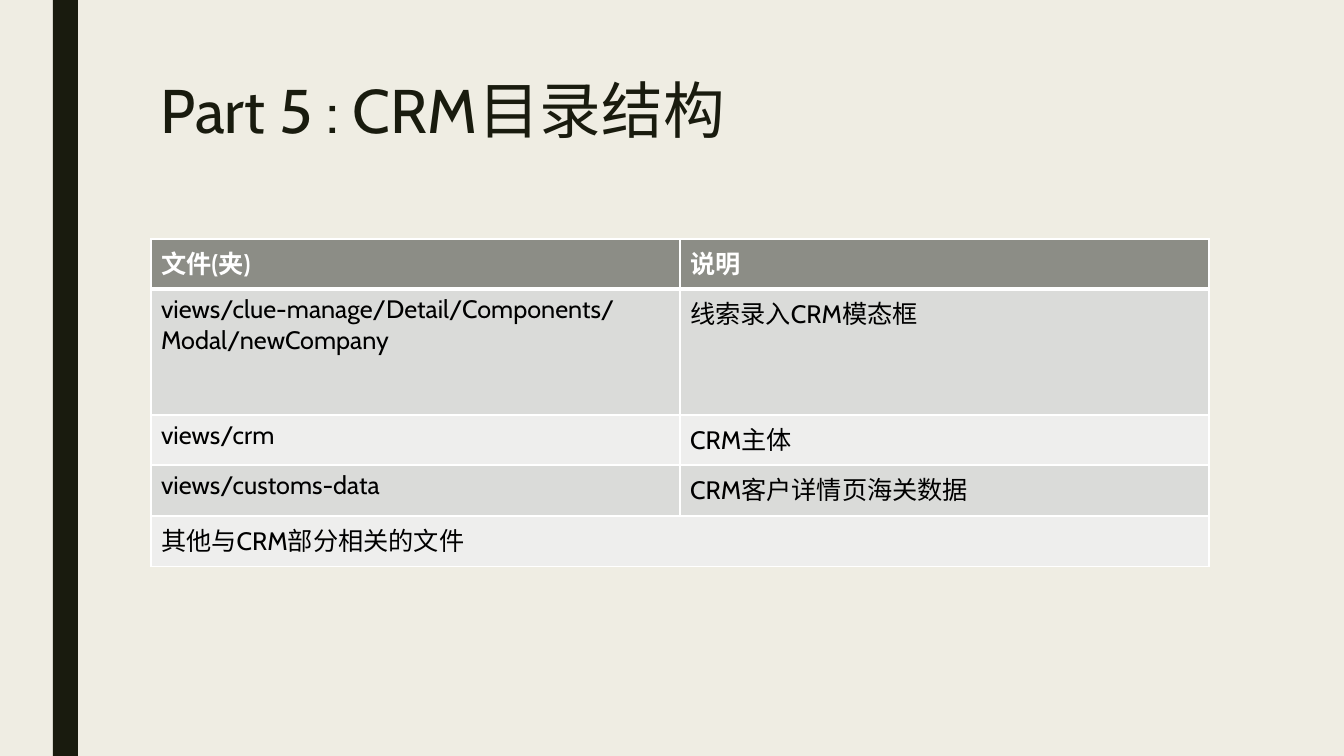
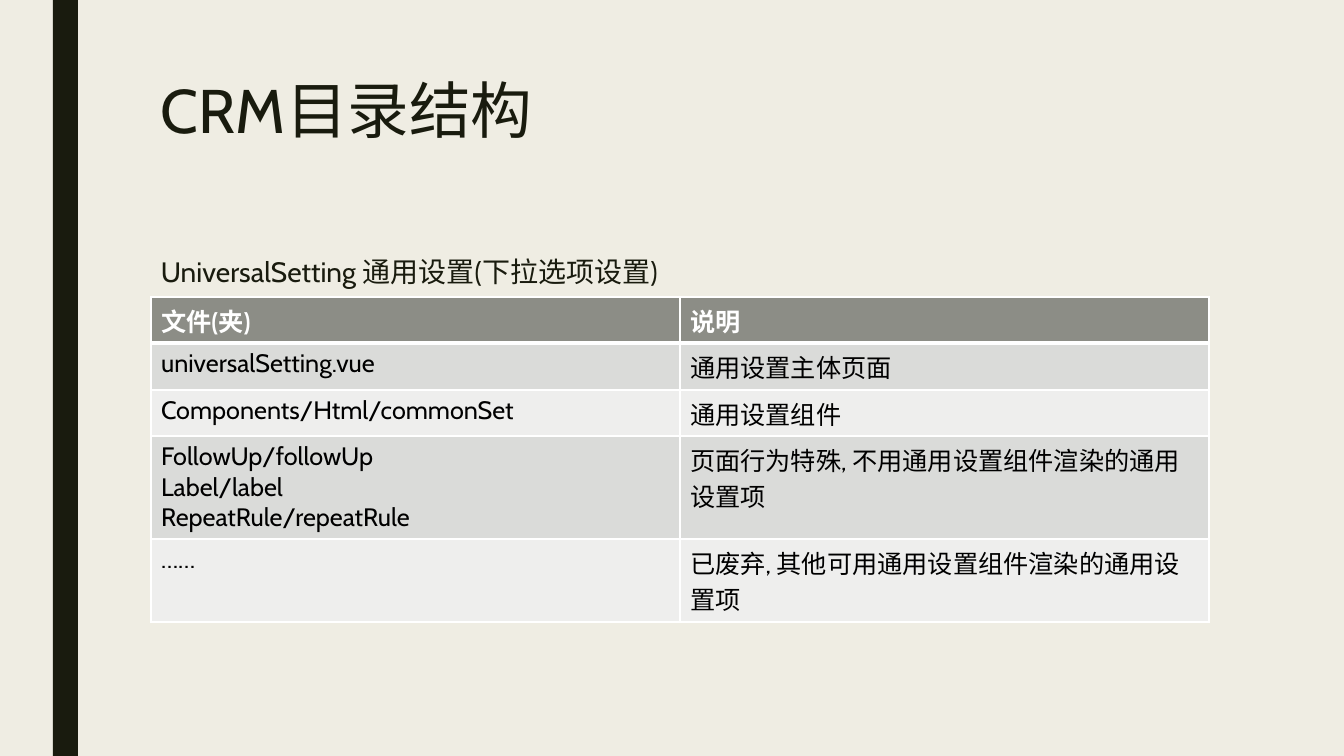
from lxml.etree import fromstring
from pptx import Presentation
from pptx.dml.color import RGBColor
from pptx.enum.shapes import MSO_SHAPE
from pptx.enum.text import MSO_ANCHOR
from pptx.oxml.ns import nsdecls
from pptx.util import Emu, Pt

PX = 12192000 / 1344
FONT = "Cabin"
CREAM = RGBColor(0xEF, 0xED, 0xE3)
DARK = RGBColor(0x19, 0x1B, 0x0E)
HEAD = RGBColor(0x8C, 0x8D, 0x86)
BANDS = [RGBColor(0xEE, 0xEE, 0xED), RGBColor(0xDA, 0xDB, 0xD9)]
WHITE = RGBColor(0xFF, 0xFF, 0xFF)
BLACK = RGBColor(0, 0, 0)
LEFT, WIDTH = 151, 1058

PAGES = [
    {
        "title": "Part 5 : CRM目录结构",
        "top": 239,
        "heights": [50, 126, 50, 51, 51],
        "rows": [
            ("文件(夹)", "说明"),
            ("views/clue-manage/Detail/Components/Modal/newCompany",
             "线索录入CRM模态框"),
            ("views/crm", "CRM主体"),
            ("views/customs-data", "CRM客户详情页海关数据"),
            ("其他与CRM部分相关的文件",),
        ],
    },
    {
        "title": "CRM目录结构",
        "intro": "UniversalSetting\t通用设置(下拉选项设置)",
        "top": 297,
        "heights": [46, 47, 46, 103, 83],
        "rows": [
            ("文件(夹)", "说明"),
            ("universalSetting.vue", "通用设置主体页面"),
            ("Components/Html/commonSet", "通用设置组件"),
            ("FollowUp/followUp\nLabel/label\nRepeatRule/repeatRule",
             "页面行为特殊, 不用通用设置组件渲染的通用设置项"),
            ("……", "已废弃, 其他可用通用设置组件渲染的通用设置项"),
        ],
    },
]


def box(*sides):
    """Turn px lengths into EMU."""
    return [Emu(round(side * PX)) for side in sides]


def write(frame, text, size, color, bold=False):
    """Fill the first paragraph, one run per line, and return it."""
    frame.word_wrap = True
    para = frame.paragraphs[0]
    for i, line in enumerate(text.split("\n")):
        if i:
            para.add_line_break()
        run = para.add_run()
        run.text = line
        run.font.name = FONT
        run.font.size = Pt(size)
        run.font.bold = bold
        run.font.color.rgb = color
    return para


prs = Presentation()
prs.slide_width, prs.slide_height = box(1344, 756)
back = prs.slide_master.background.fill
back.solid()
back.fore_color.rgb = CREAM

for page in PAGES:
    slide = prs.slides.add_slide(prs.slide_layouts[6])
    shapes = slide.shapes

    bar = shapes.add_shape(MSO_SHAPE.RECTANGLE, *box(53, 0, 25, 756))
    bar.shadow.inherit = False
    bar.fill.solid()
    bar.fill.fore_color.rgb = DARK
    bar.line.fill.background()

    title = shapes.add_textbox(*box(LEFT, 76, WIDTH, 163)).text_frame
    title.vertical_anchor = MSO_ANCHOR.TOP
    write(title, page["title"], 44, DARK).line_spacing = 0.89

    if "intro" in page:
        intro = shapes.add_textbox(*box(LEFT, 252, WIDTH, 395)).text_frame
        para = write(intro, page["intro"], 20, DARK)
        para.line_spacing = 0.94
        para.space_before, para.space_after = Pt(10), Pt(2)

    rows, heights = page["rows"], page["heights"]
    area = box(LEFT, page["top"], WIDTH, sum(heights))
    table = shapes.add_table(len(rows), 2, *area).table
    for r, texts in enumerate(rows):
        table.rows[r].height = box(heights[r])[0]
        if len(texts) == 1:
            table.cell(r, 0).merge(table.cell(r, 1))
        for c, cell in enumerate(table.rows[r].cells):
            cell.fill.solid()
            cell.fill.fore_color.rgb = BANDS[r % 2] if r else HEAD
            if c < len(texts):
                write(cell.text_frame, texts[c], 18, BLACK if r else WHITE, r == 0)
            # The rule under the header row is three times as thick.
            wide = {"T": 3 if r == 1 else 1, "B": 1 if r else 3}
            for i, side in enumerate("LRTB"):
                line = fromstring(
                    f'<a:ln{side} {nsdecls("a")} w="{Pt(wide.get(side, 1))}">'
                    f'<a:solidFill><a:srgbClr val="{WHITE}"/></a:solidFill>'
                    f'</a:ln{side}>')
                cell._tc.get_or_add_tcPr().insert(i, line)

prs.save("out.pptx")
